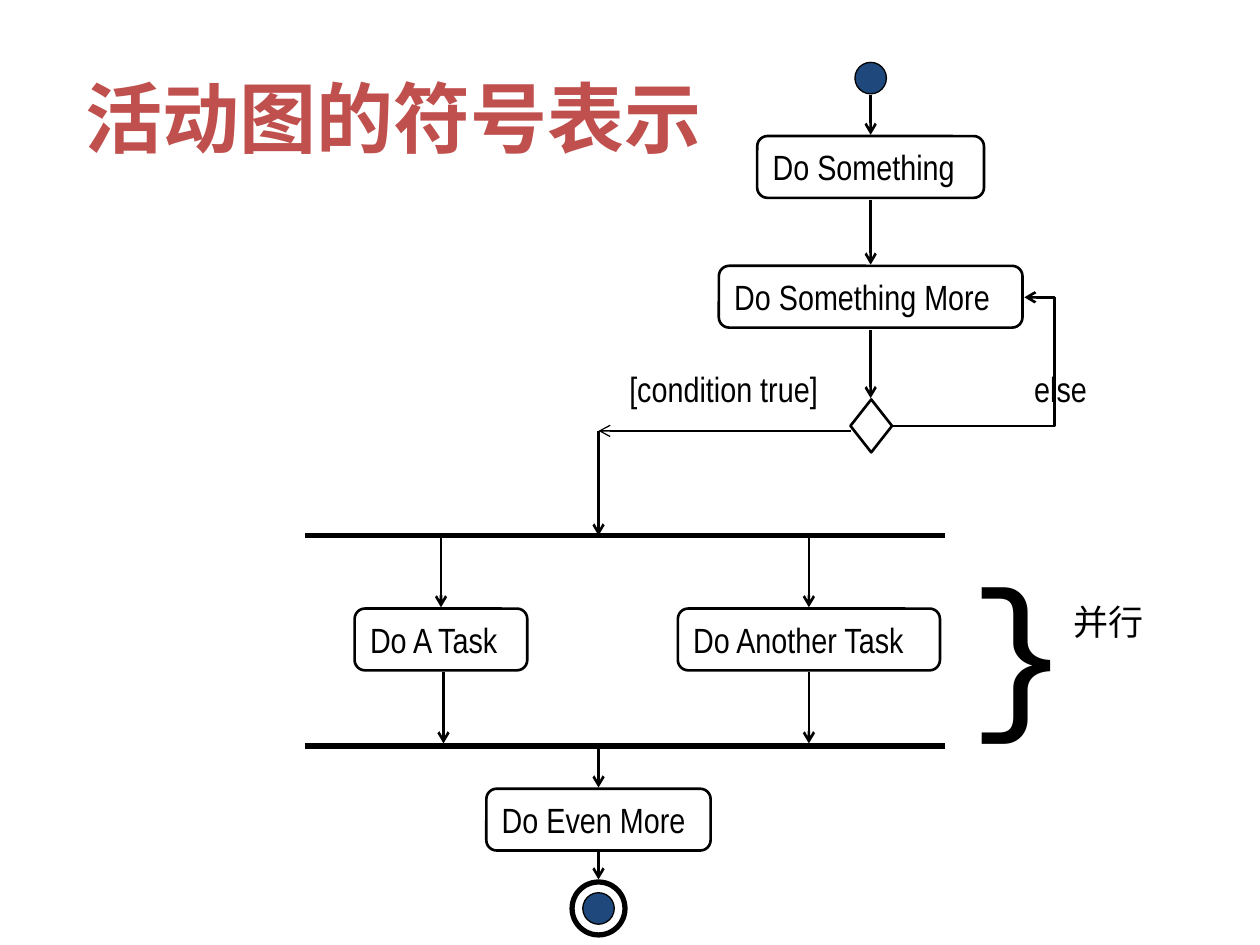
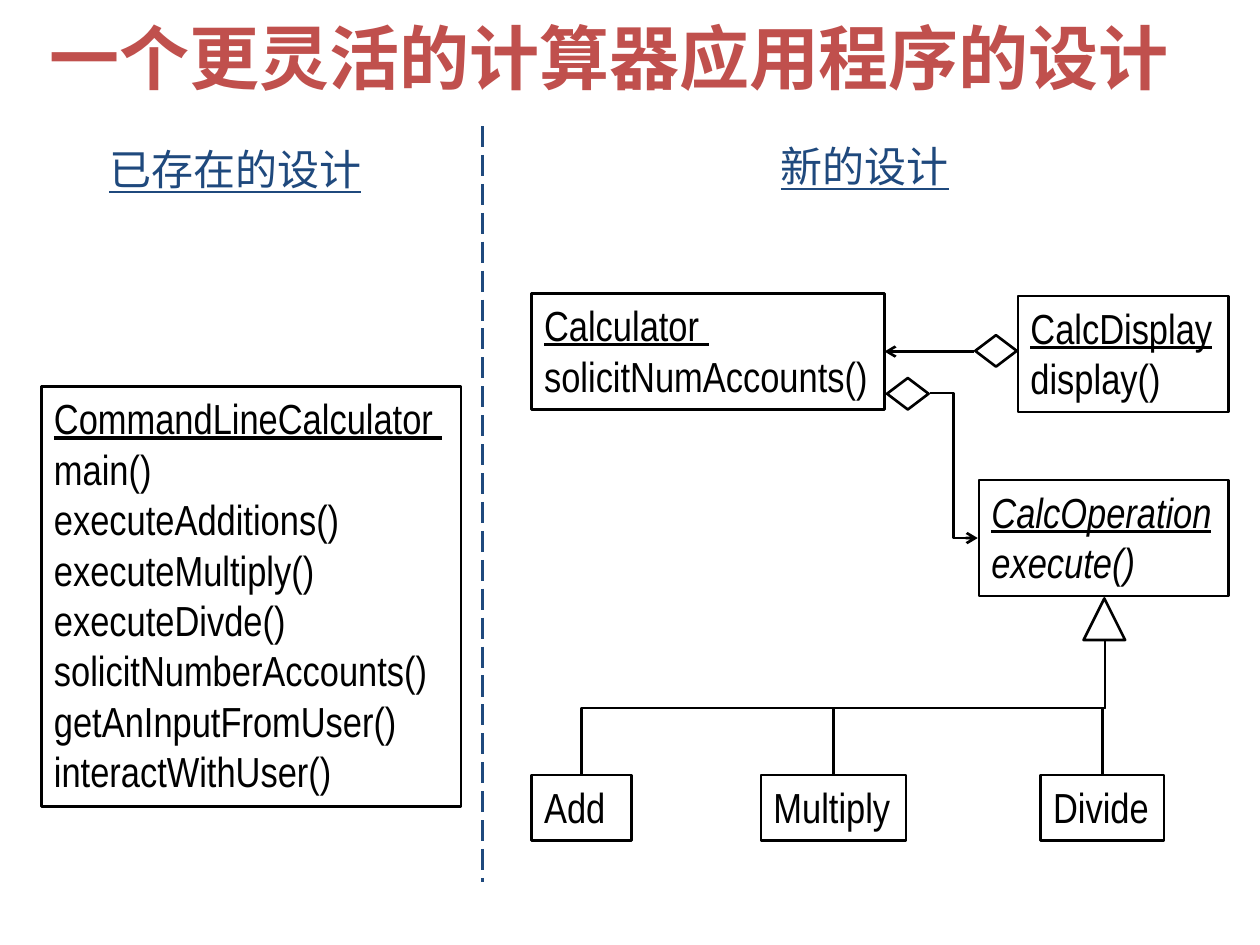
"""Build two UML slides: activity diagram notation and a flexible calculator design."""
from lxml.etree import SubElement
from pptx import Presentation
from pptx.dml.color import RGBColor
from pptx.enum.dml import MSO_LINE as Dash
from pptx.enum.shapes import MSO_CONNECTOR as Link, MSO_SHAPE as Shape
from pptx.enum.text import MSO_ANCHOR as Anchor, MSO_AUTO_SIZE as Fit, PP_ALIGN as Align
from pptx.oxml.ns import qn
from pptx.util import Inches, Pt

COLORS = {"title": "C0504D", "accent": "1F497D", "ink": "000000", "paper": "FFFFFF"}
NARROW, SANS, MONO = "Arial Narrow", "Calibri", "Courier New"
LINE = 1.5
TITLE_ONLY = 5

ACTIVITY_TITLE = "活动图的符号表示"
MAIN, LEFT, CENTER, RIGHT = 6.91, 3.5, 4.75, 6.42
NODE_HEIGHT = 0.49
ACTIVITIES = [
    ("Do Something", MAIN, 1.08, 1.8),
    ("Do Something More", MAIN, 2.11, 2.41),
    ("Do A Task", LEFT, 4.83, 1.37),
    ("Do Another Task", RIGHT, 4.83, 2.08),
    ("Do Even More", CENTER, 6.26, 1.78),
]
BAR_START, BAR_END, FORK, JOIN = 2.42, 7.5, 4.25, 5.92
BRANCH = 3.42
DOT, RING = 0.25, 0.42
DOWN_ARROWS = [
    (MAIN, 0.75, 1.07), (MAIN, 1.59, 2.1), (MAIN, 2.62, 3.16),
    (CENTER, BRANCH, FORK), (LEFT, FORK, 4.82), (RIGHT, FORK, 4.82),
    (LEFT + 0.02, 5.33, 5.9), (RIGHT, 5.33, 5.9),
    (CENTER, JOIN, 6.25), (CENTER, 6.76, 6.98),
]
ACTIVITY_LABELS = [
    ("else", (8.11, 2.87, 0.64, 0.43), NARROW, 20, Align.LEFT),
    ("[condition true]", (4.72, 2.87, 1.87, 0.43), NARROW, 20, Align.RIGHT),
    ("}", (7.59, 4.25, 1, 1.7), MONO, 96, Align.LEFT),
    ("并行", (8.42, 4.72, 0.76, 0.43), SANS, 20, Align.LEFT),
]

DESIGN_TITLE = "一个更灵活的计算器应用程序的设计"
HEADINGS = [("已存在的设计", (0.77, 1.09, 2.21, 0.5)), ("新的设计", (6.1, 1.07, 1.54, 0.5))]
CLASSES = [
    (["CommandLineCalculator ", "main()", "executeAdditions()", "executeMultiply()",
      "executeDivde()", "solicitNumberAccounts()", "getAnInputFromUser()",
      "interactWithUser()"], (0.33, 3.07, 3.33, 3.33), False),
    (["Calculator ", "solicitNumAccounts()"], (4.22, 2.33, 2.8, 0.92), False),
    (["CalcDisplay", "display()"], (8.08, 2.35, 1.67, 0.92), False),
    (["CalcOperation", "execute()"], (7.77, 3.81, 1.98, 0.92), True),
]
SUBCLASS_TOP, SUBCLASS_HEIGHT = 6.15, 0.52
SUBCLASSES = [("Add", 4.22, 0.79), ("Multiply", 6.04, 1.15), ("Divide", 8.26, 0.98)]
PARENT = (8.77, 5.09)
AGGREGATIONS = [(7.04, 3), (7.74, 2.66)]


def color(name):
    return RGBColor.from_string(COLORS[name])


def style(paragraph, font_name, size, color_name="ink", align=Align.LEFT):
    paragraph.alignment = align
    font = paragraph.font
    font.name, font.size = font_name, Pt(size)
    font.color.rgb = color(color_name)
    return font


def add_slide(presentation, text, box, size, anchor, wrap):
    slide = presentation.slides.add_slide(presentation.slide_layouts[TITLE_ONLY])
    title = slide.shapes.title
    title.left, title.top, title.width, title.height = map(Inches, box)
    frame = title.text_frame
    frame.text = text
    frame.vertical_anchor, frame.word_wrap, frame.auto_size = anchor, wrap, Fit.NONE
    style(frame.paragraphs[0], SANS, size, "title", Align.CENTER).bold = True
    return slide


def add_shape(slide, kind, box, fill=None, width=LINE):
    shape = slide.shapes.add_shape(kind, *map(Inches, box))
    shape.shadow.inherit = False
    if fill:
        shape.fill.solid()
        shape.fill.fore_color.rgb = color(fill)
    else:
        shape.fill.background()
    shape.line.color.rgb = color("ink")
    shape.line.width = Pt(width)
    return shape


def write(shape, lines, font_name, size, color_name="ink", align=Align.LEFT):
    frame = shape.text_frame
    frame.word_wrap, frame.auto_size = False, Fit.SHAPE_TO_FIT_TEXT
    frame.text = "\n".join(lines)
    return [style(paragraph, font_name, size, color_name, align)
            for paragraph in frame.paragraphs]


def add_text(slide, text, box, *look):
    return write(slide.shapes.add_textbox(*map(Inches, box)), [text], *look)[0]


def add_line(slide, start, end, arrow=False, width=LINE, color_name="ink",
             kind=Link.STRAIGHT, dash=None):
    line = slide.shapes.add_connector(kind, *map(Inches, (*start, *end)))
    line.line.color.rgb = color(color_name)
    line.line.width = Pt(width)
    if dash:
        line.line.dash_style = dash
    properties = line.element.spPr
    if arrow:
        SubElement(properties.find(qn("a:ln")), qn("a:tailEnd"), type="arrow")
    SubElement(properties, qn("a:effectLst"))
    return line


def add_elbow(slide, start, end, bend):
    line = add_line(slide, start, end, arrow=True, kind=Link.ELBOW)
    geometry = line.element.spPr.find(qn("a:prstGeom"))
    adjustments = geometry.find(qn("a:avLst"))
    if adjustments is None:
        adjustments = SubElement(geometry, qn("a:avLst"))
    SubElement(adjustments, qn("a:gd"), name="adj1", fmla=f"val {round(bend * 100000)}")


def add_drop(slide, start, end):
    middle_x, middle_y = (start[0] + end[0]) / 2, (start[1] + end[1]) / 2
    half_drop, half_shift = (end[1] - start[1]) / 2, (start[0] - end[0]) / 2
    line = add_line(slide, (middle_x - half_drop, middle_y - half_shift),
                    (middle_x + half_drop, middle_y + half_shift), kind=Link.ELBOW)
    line.element.spPr.find(qn("a:xfrm")).set("rot", str(90 * 60000))


def centered(x, y, size):
    return x - size / 2, y - size / 2, size, size


def build_activity(presentation):
    slide = add_slide(presentation, ACTIVITY_TITLE, (0.5, 0.3, 5.25, 1.25), 44,
                      Anchor.MIDDLE, True)
    for text, center, top, width in ACTIVITIES:
        node = add_shape(slide, Shape.ROUNDED_RECTANGLE,
                         (center - width / 2, top, width, NODE_HEIGHT), "paper")
        node.text_frame.vertical_anchor = Anchor.MIDDLE
        write(node, [text], NARROW, 20)
    final = (CENTER, 7.21)
    for x, y in [(MAIN, 0.62), final]:
        add_shape(slide, Shape.OVAL, centered(x, y, DOT), "accent", 0.75)
    add_shape(slide, Shape.OVAL, centered(*final, RING), width=3)
    for y in (FORK, JOIN):
        add_line(slide, (BAR_START, y), (BAR_END, y), width=3)
    add_shape(slide, Shape.DIAMOND, (6.75, 3.17, 0.33, 0.42), "paper")
    add_elbow(slide, (7.09, 3.38), (8.13, 2.36), 1.23)
    for x, top, bottom in DOWN_ARROWS:
        add_line(slide, (x, top), (x, bottom), arrow=True)
    for text, box, font_name, size, align in ACTIVITY_LABELS:
        add_text(slide, text, box, font_name, size, "ink", align)
    add_line(slide, (6.75, BRANCH), (CENTER, BRANCH), arrow=True, width=0.75)


def build_design(presentation):
    slide = add_slide(presentation, DESIGN_TITLE, (0.28, 0.07, 9.11, 0.76), 40,
                      Anchor.BOTTOM, False)
    add_line(slide, (3.83, 1), (3.83, 7), color_name="accent", dash=Dash.LONG_DASH)
    for text, box in HEADINGS:
        add_text(slide, text, box, NARROW, 24, "accent").underline = True
    for lines, box, abstract in CLASSES:
        class_box = add_shape(slide, Shape.RECTANGLE, box)
        class_box.text_frame.vertical_anchor = Anchor.TOP
        fonts = write(class_box, lines, NARROW, 24)
        fonts[0].underline = True
        for font in fonts:
            font.italic = abstract
    for text, left, width in SUBCLASSES:
        subclass = add_shape(slide, Shape.RECTANGLE,
                             (left, SUBCLASS_TOP, width, SUBCLASS_HEIGHT))
        subclass.text_frame.vertical_anchor = Anchor.TOP
        write(subclass, [text], NARROW, 24)
        add_drop(slide, PARENT, (left + width / 2, SUBCLASS_TOP))
    add_shape(slide, Shape.ISOSCELES_TRIANGLE, (8.6, 4.75, 0.33, 0.33))
    add_line(slide, (7.73, 2.79), (7.02, 2.79), arrow=True)
    add_elbow(slide, (7.38, 3.12), (7.76, 4.27), 0.5)
    for left, top in AGGREGATIONS:
        add_shape(slide, Shape.FLOWCHART_DECISION, (left, top, 0.33, 0.25), "paper")


def main():
    presentation = Presentation()
    presentation.slide_width, presentation.slide_height = Inches(10), Inches(7.5)
    build_activity(presentation)
    build_design(presentation)
    presentation.save("out.pptx")


if __name__ == "__main__":
    main()
